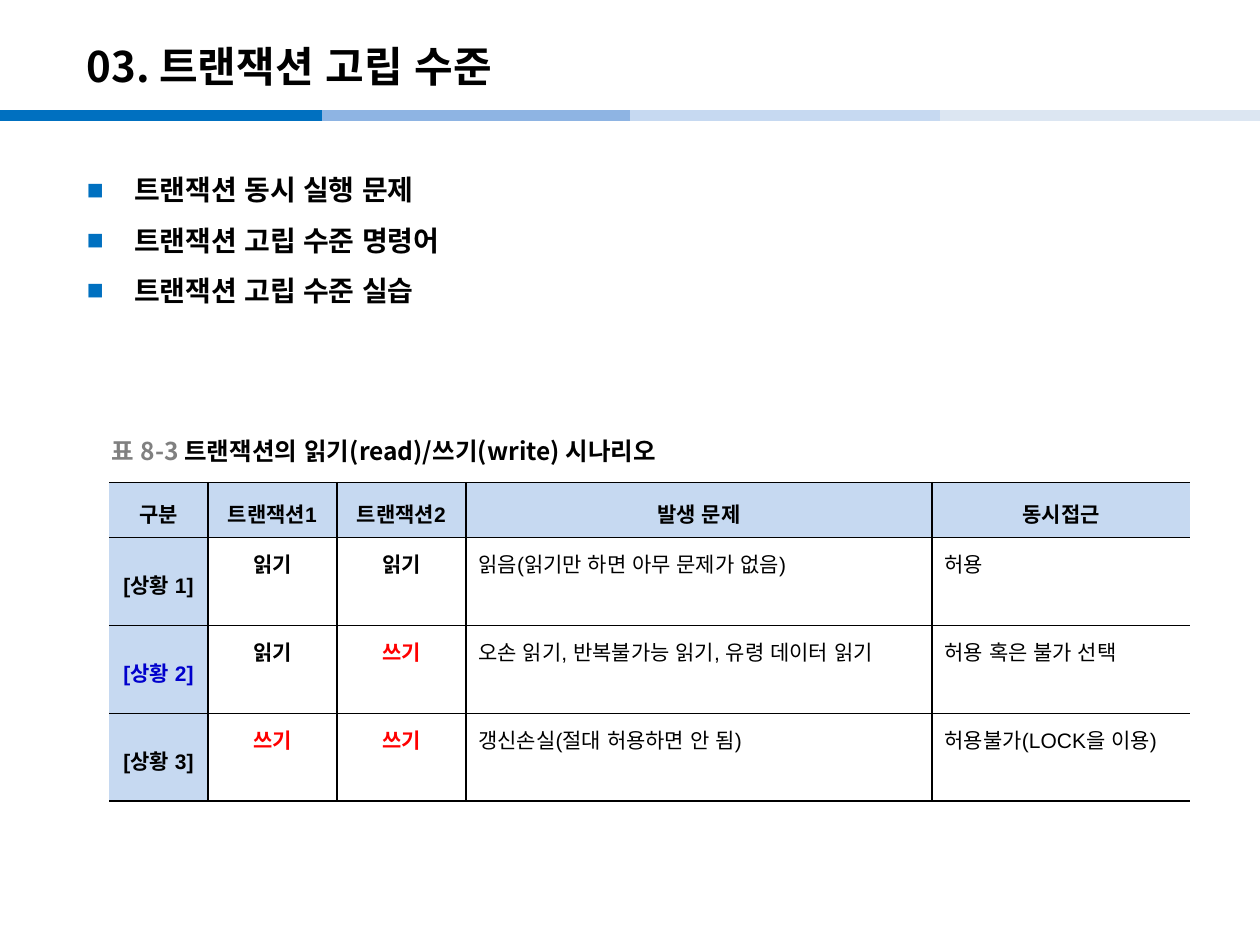
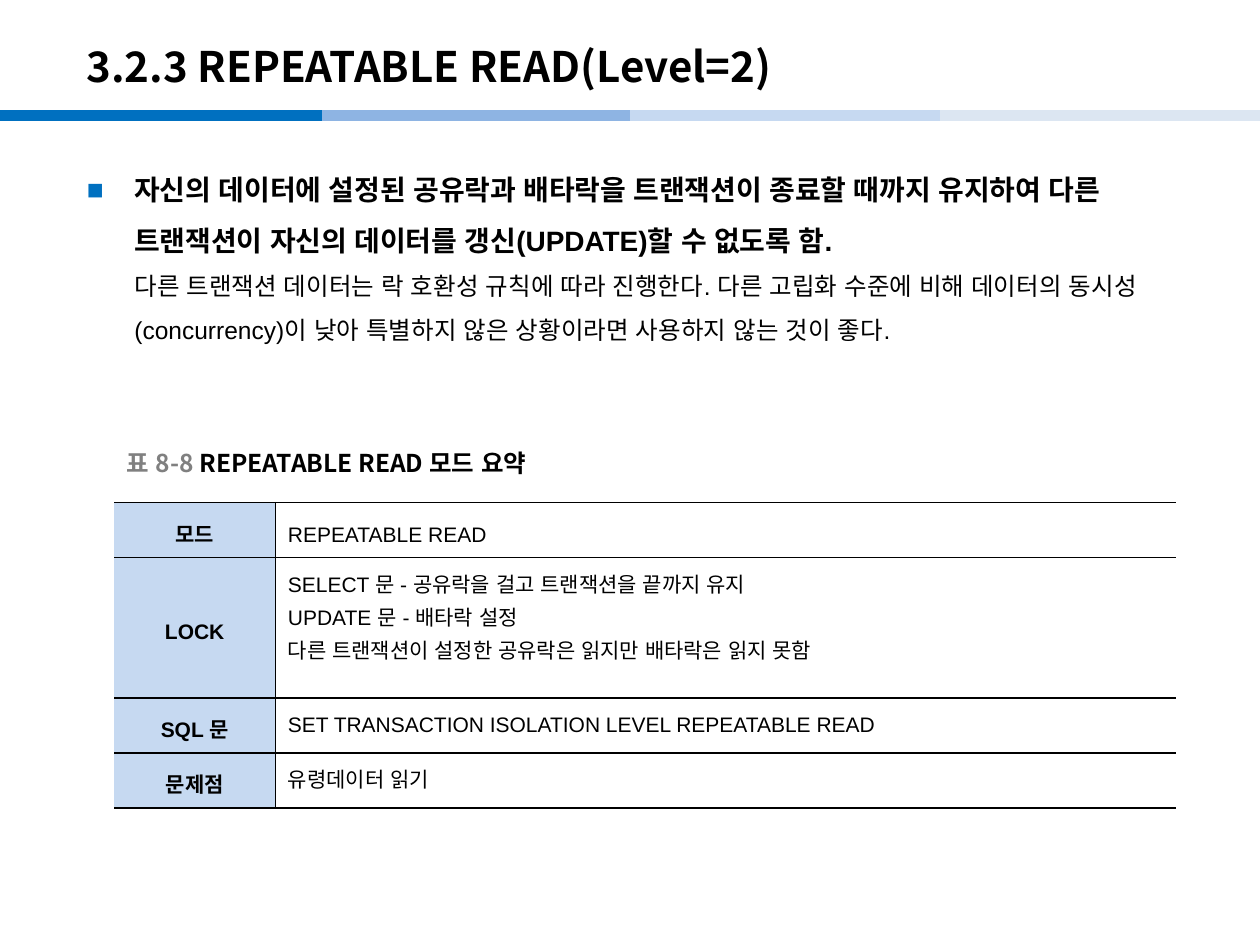
from copy import deepcopy
from dataclasses import dataclass

from lxml.etree import SubElement
from pptx import Presentation
from pptx.dml.color import RGBColor
from pptx.enum.shapes import MSO_CONNECTOR
from pptx.enum.text import MSO_ANCHOR, PP_ALIGN
from pptx.oxml.ns import qn
from pptx.slide import Slide
from pptx.table import _Cell
from pptx.text.text import TextFrame, _Paragraph, _Run
from pptx.util import Cm, Pt

BLACK = "000000"
WHITE = "FFFFFF"
GRAY = "808080"
RED = "FF0000"
NAVY = "0000CC"
BLUE = "0070C0"
PALE_BLUE = "C6D9F1"
BODY_FONT = "Arial"
TITLE_FONT = "Noto Sans CJK KR"
BODY_SPACING = 1.5
CELL_SPACING = 1.4


@dataclass
class Band:
    left: float
    right: float
    color: str


@dataclass
class Style:
    size: float
    color: str = BLACK
    bold: bool = True
    font: str = BODY_FONT


@dataclass
class Entry:
    text: str
    color: str = BLACK
    bold: bool = True
    centered: bool = True
    fill: str = WHITE
    anchor: MSO_ANCHOR = MSO_ANCHOR.TOP


@dataclass
class Grid:
    left: float
    top: float
    columns: list[float]
    rows: list[float]
    entries: list[list[Entry]]


@dataclass
class Caption:
    left: float
    top: float
    number: str
    text: str


BANDS = [
    Band(0, 6.5, BLUE),
    Band(6.5, 13, "8EB4E3"),
    Band(12.7, 19.2, PALE_BLUE),
    Band(18.95, 25.4, "DCE6F2"),
]
TITLE_STYLE = Style(24, font=TITLE_FONT)
POINT_STYLE = Style(16)
DETAIL_STYLE = Style(14, bold=False)


def rgb(color: str) -> RGBColor:
    return RGBColor.from_string(color)


def add_run(paragraph: _Paragraph, text: str, style: Style) -> _Run:
    run = paragraph.add_run()
    run.text = text
    font = run.font
    font.size = Pt(style.size)
    font.bold = style.bold
    font.name = style.font
    font.color.rgb = rgb(style.color)
    SubElement(font._element, qn("a:ea"), typeface=BODY_FONT)
    return run


def add_bands(slide: Slide) -> None:
    for band in BANDS:
        connector = slide.shapes.add_connector(
            MSO_CONNECTOR.STRAIGHT, Cm(band.left), Cm(2.33), Cm(band.right), Cm(2.33)
        )
        connector.line.color.rgb = rgb(band.color)
        connector.line.width = Pt(6)
        SubElement(connector._element.spPr, qn("a:effectLst"))


def add_titled_slide(presentation: Presentation, text: str) -> Slide:
    slide = presentation.slides.add_slide(presentation.slide_layouts[5])
    add_bands(slide)
    title = slide.shapes.title
    title.left, title.top = Cm(1.49), Cm(0.56)
    title.width, title.height = Cm(21), Cm(1.52)
    title.text_frame.vertical_anchor = MSO_ANCHOR.MIDDLE
    paragraph = title.text_frame.paragraphs[0]
    paragraph.alignment = PP_ALIGN.LEFT
    add_run(paragraph, text, TITLE_STYLE)
    return slide


def add_text_box(slide: Slide, left: float, top: float, width: float, height: float) -> TextFrame:
    shape = slide.shapes.add_textbox(Cm(left), Cm(top), Cm(width), Cm(height))
    shape.text_frame.word_wrap = True
    return shape.text_frame


def set_bullet(paragraph: _Paragraph) -> None:
    properties = paragraph._p.get_or_add_pPr()
    indent = Cm(0.96)
    properties.set("marL", str(indent))
    properties.set("indent", str(-indent))
    bullet_color = SubElement(properties, qn("a:buClr"))
    SubElement(bullet_color, qn("a:srgbClr"), val=BLUE)
    SubElement(properties, qn("a:buFont"), typeface=BODY_FONT)
    SubElement(properties, qn("a:buChar"), char="■")


def add_points(slide: Slide, points: list[str], detail: str = "") -> None:
    frame = add_text_box(slide, 1.5, 3.02, 22.4, 15.19)
    for index, point in enumerate(points):
        paragraph = frame.add_paragraph() if index else frame.paragraphs[0]
        set_bullet(paragraph)
        paragraph.line_spacing = BODY_SPACING
        run = add_run(paragraph, point, POINT_STYLE)
    if detail:
        paragraph.add_line_break()
        paragraph._p[-1].append(deepcopy(run.font._element))
        add_run(paragraph, detail, DETAIL_STYLE)


def add_caption(slide: Slide, caption: Caption) -> None:
    frame = add_text_box(slide, caption.left, caption.top, 13, 0.79)
    frame.vertical_anchor = MSO_ANCHOR.MIDDLE
    paragraph = frame.paragraphs[0]
    add_run(paragraph, caption.number, Style(14, GRAY, font=TITLE_FONT))
    add_run(paragraph, caption.text, Style(14, font=TITLE_FONT))


def set_borders(cell: _Cell, has_left: bool, has_right: bool) -> None:
    properties = cell._tc.get_or_add_tcPr()
    sides = {"L": has_left, "R": has_right, "T": True, "B": True}
    for side, visible in sides.items():
        line = SubElement(properties, qn(f"a:ln{side}"), w=str(Pt(1)))
        if visible:
            fill = SubElement(line, qn("a:solidFill"))
            SubElement(fill, qn("a:srgbClr"), val=BLACK)
        else:
            SubElement(line, qn("a:noFill"))


def fill_cell(cell: _Cell, entry: Entry) -> None:
    cell.fill.solid()
    cell.fill.fore_color.rgb = rgb(entry.fill)
    cell.vertical_anchor = entry.anchor
    for index, text in enumerate(entry.text.split("\n")):
        frame = cell.text_frame
        paragraph = frame.add_paragraph() if index else frame.paragraphs[0]
        paragraph.alignment = PP_ALIGN.CENTER if entry.centered else PP_ALIGN.LEFT
        paragraph.line_spacing = CELL_SPACING
        add_run(paragraph, text, Style(12, entry.color, entry.bold))


def add_grid(slide: Slide, grid: Grid) -> None:
    table = slide.shapes.add_table(
        len(grid.rows), len(grid.columns), Cm(grid.left), Cm(grid.top),
        Cm(sum(grid.columns)), Cm(sum(grid.rows)),
    ).table
    table.first_row = table.horz_banding = False
    for column, width in zip(table.columns, grid.columns):
        column.width = Cm(width)
    last = len(grid.columns) - 1
    for row_index, entries in enumerate(grid.entries):
        table.rows[row_index].height = Cm(grid.rows[row_index])
        for column_index, entry in enumerate(entries):
            cell = table.cell(row_index, column_index)
            set_borders(cell, column_index > 0, column_index < last)
            fill_cell(cell, entry)


def heading(text: str, color: str = BLACK) -> Entry:
    return Entry(text, color, fill=PALE_BLUE, anchor=MSO_ANCHOR.MIDDLE)


def action(text: str) -> Entry:
    return Entry(text, RED if text == "쓰기" else BLACK)


def description(text: str, anchor: MSO_ANCHOR = MSO_ANCHOR.TOP) -> Entry:
    return Entry(text, bold=False, centered=False, anchor=anchor)


def scenario(name: Entry, first: str, second: str, problem: str, access: str) -> list[Entry]:
    return [name, action(first), action(second), description(problem), description(access)]


def add_isolation_slide(presentation: Presentation) -> None:
    slide = add_titled_slide(presentation, "03. 트랜잭션 고립 수준")
    add_points(slide, ["트랜잭션 동시 실행 문제", "트랜잭션 고립 수준 명령어", "트랜잭션 고립 수준 실습"])
    headings = ["구분", "트랜잭션1", "트랜잭션2", "발생 문제", "동시접근"]
    entries = [
        [heading(text) for text in headings],
        scenario(heading("[상황 1]"), "읽기", "읽기", "읽음(읽기만 하면 아무 문제가 없음)", "허용"),
        scenario(heading("[상황 2]", NAVY), "읽기", "쓰기",
                 "오손 읽기, 반복불가능 읽기, 유령 데이터 읽기", "허용 혹은 불가 선택"),
        scenario(heading("[상황 3]"), "쓰기", "쓰기",
                 "갱신손실(절대 허용하면 안 됨)", "허용불가(LOCK을 이용)"),
    ]
    rows = [1.11] + [1.77] * 3
    add_grid(slide, Grid(2.2, 9.73, [1.99, 2.6, 2.6, 9.4, 5.2], rows, entries))
    add_caption(slide, Caption(1.99, 8.69, "표 8-3 ", "트랜잭션의 읽기(read)/쓰기(write) 시나리오"))


def add_repeatable_read_slide(presentation: Presentation) -> None:
    slide = add_titled_slide(presentation, "3.2.3 REPEATABLE READ(Level=2)")
    add_points(
        slide,
        ["자신의 데이터에 설정된 공유락과 배타락을 트랜잭션이 종료할 때까지 유지하여 다른 "
         "트랜잭션이 자신의 데이터를 갱신(UPDATE)할 수 없도록 함."],
        "다른 트랜잭션 데이터는 락 호환성 규칙에 따라 진행한다. 다른 고립화 수준에 비해 데이터의 "
        "동시성(concurrency)이 낮아 특별하지 않은 상황이라면 사용하지 않는 것이 좋다.",
    )
    lock_rules = (
        "SELECT 문 - 공유락을 걸고 트랜잭션을 끝까지 유지\n"
        "UPDATE 문 - 배타락 설정\n"
        "다른 트랜잭션이 설정한 공유락은 읽지만 배타락은 읽지 못함"
    )
    entries = [
        [heading("모드"), description("REPEATABLE READ", MSO_ANCHOR.MIDDLE)],
        [heading("LOCK"), description(lock_rules)],
        [heading("SQL 문"), description("SET TRANSACTION ISOLATION LEVEL REPEATABLE READ")],
        [heading("문제점"), description("유령데이터 읽기")],
    ]
    add_grid(slide, Grid(2.3, 10.13, [3.25, 18.16], [1.11, 2.83, 1.11, 1.11], entries))
    add_caption(slide, Caption(2.3, 8.93, "표 8-8 ", "REPEATABLE READ 모드 요약"))


def main() -> None:
    presentation = Presentation()
    presentation.slide_width = Cm(25.4)
    presentation.slide_height = Cm(19.05)
    add_isolation_slide(presentation)
    add_repeatable_read_slide(presentation)
    presentation.save("out.pptx")


if __name__ == "__main__":
    main()
